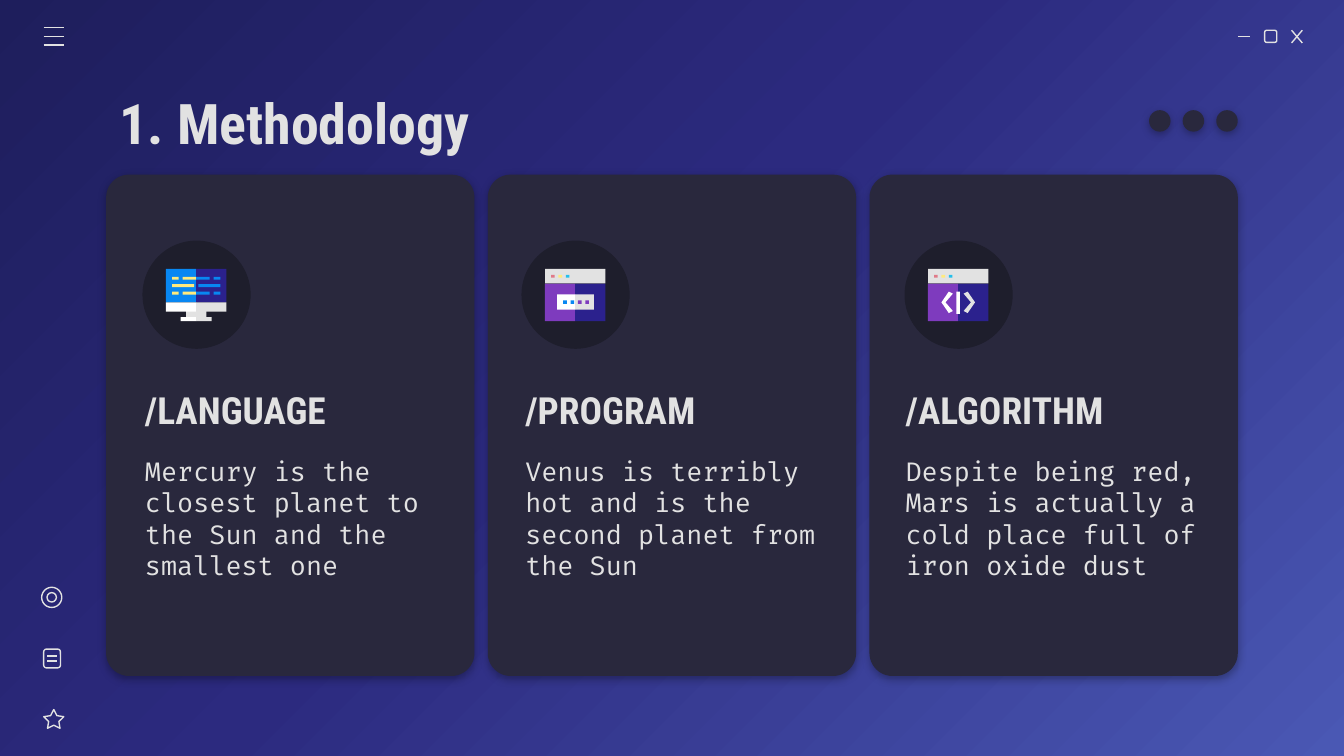
from pptx import Presentation
from pptx import util as u
from pptx.dml.color import RGBColor
from pptx.enum import shapes, text
from pptx.oxml import parse_xml
from pptx.oxml.ns import nsdecls, qn

# The grid has square cells, 100 columns by 56.25 rows
CELL = u.Inches(0.1)
COLUMNS, ROWS = 100, 56.25

HEADING_FONT, BODY_FONT = "Roboto Condensed", "Fira Code"
LIGHT = RGBColor(0xE2, 0xE2, 0xE2)
WHITE = RGBColor(0xFF, 0xFF, 0xFF)
PANEL = RGBColor(0x29, 0x28, 0x3D)
DISC = RGBColor(0x1E, 0x1E, 0x2C)
INDIGO = RGBColor(0x2B, 0x21, 0x8D)
PURPLE = RGBColor(0x7E, 0x3B, 0xBE)
BLUE = RGBColor(0x08, 0x87, 0xF2)
CYAN = RGBColor(0x24, 0xBF, 0xEB)
YELLOW = RGBColor(0xFF, 0xEA, 0x7D)
PINK = RGBColor(0xE0, 0x7A, 0x88)
BACKDROP = [
    (0, RGBColor(0x1E, 0x1E, 0x5C)),
    (46, RGBColor(0x2C, 0x2A, 0x7F)),
    (100, RGBColor(0x4A, 0x58, 0xB4)),
]
SHAPE = shapes.MSO_SHAPE


def cells(*lengths):
    return [u.Emu(round(length * CELL)) for length in lengths]


class Canvas:
    def __init__(self, page):
        self.page = page

    def backdrop(self, stops):
        marks = "".join(
            f'<a:gs pos="{share * 1000}"><a:srgbClr val="{color}"/></a:gs>'
            for share, color in stops
        )
        self.page._element.cSld.insert(0, parse_xml(
            f'<p:bg {nsdecls("p", "a")}><p:bgPr><a:gradFill><a:gsLst>{marks}</a:gsLst>'
            '<a:path path="circle"><a:fillToRect r="100000" b="100000"/></a:path>'
            '</a:gradFill><a:effectLst/></p:bgPr></p:bg>'))

    def paint(self, shape, color):
        shape.shadow.inherit = False
        shape.fill.solid()
        shape.fill.fore_color.rgb = color
        shape.line.fill.background()

    def solid(self, kind, place, color, corner=None, shadow=False):
        shape = self.page.shapes.add_shape(kind, *cells(*place))
        self.paint(shape, color)
        if corner is not None:
            shape.adjustments[0] = corner
        if shadow:
            effects = shape._element.spPr.find(qn("a:effectLst"))
            effects.append(parse_xml(
                f'<a:outerShdw {nsdecls("a")} blurRad="57150" dist="19050" dir="5400000">'
                '<a:srgbClr val="000000"><a:alpha val="30000"/></a:srgbClr></a:outerShdw>'))

    def outline(self, kind, place, adjustment=None):
        shape = self.page.shapes.add_shape(kind, *cells(*place))
        shape.shadow.inherit = False
        shape.fill.background()
        shape.line.color.rgb = LIGHT
        shape.line.width = u.Pt(0.75)
        if adjustment is not None:
            shape.adjustments[0] = adjustment

    def line(self, *ends):
        stroke = self.page.shapes.add_connector(
            shapes.MSO_CONNECTOR.STRAIGHT, *cells(*ends))
        stroke.line.color.rgb = LIGHT
        stroke.line.width = u.Pt(0.75)
        stroke._element.spPr.append(parse_xml(f'<a:effectLst {nsdecls("a")}/>'))

    def block(self, origin, place, color):
        left, top, width, height = place
        self.solid(SHAPE.RECTANGLE,
                   (origin[0] + left, origin[1] + top, width, height), color)

    def polygon(self, origin, points, color):
        corners = [cells(origin[0] + x, origin[1] + y) for x, y in points]
        builder = self.page.shapes.build_freeform(*corners[0])
        builder.add_line_segments(corners[1:], close=True)
        self.paint(builder.convert_to_shape(), color)

    def set_text(self, box, place, words, font, size, bold=False):
        box.left, box.top, box.width, box.height = cells(*place)
        frame = box.text_frame
        frame.word_wrap = True
        frame.auto_size = text.MSO_AUTO_SIZE.NONE
        frame.vertical_anchor = text.MSO_ANCHOR.MIDDLE
        frame.margin_left = frame.margin_right = CELL
        frame.margin_top = frame.margin_bottom = CELL
        frame.text = words
        para = frame.paragraphs[0]
        para.alignment = text.PP_ALIGN.LEFT
        para.font.name, para.font.size, para.font.bold = font, u.Pt(size), bold
        para.font.color.rgb = LIGHT

    def title(self, place, words):
        self.set_text(self.page.shapes.title, place, words, HEADING_FONT, 30, True)

    def label(self, place, words, font, size, bold=False):
        box = self.page.shapes.add_textbox(*cells(*place))
        self.set_text(box, place, words, font, size, bold)


# Card icons, each 4.5 cells wide
def monitor_icon(canvas, origin):
    canvas.block(origin, (0, 0, 2.25, 2.5), BLUE)
    canvas.block(origin, (2.25, 0, 2.25, 2.5), INDIGO)
    canvas.block(origin, (1.5, 3, 1.5, 0.7), LIGHT)
    for left, top, width, height in [(0, 2.5, 2.25, 0.7), (1.1, 3.6, 1.15, 0.3)]:
        canvas.block(origin, (left, top, width, height), WHITE)
        canvas.block(origin, (2.25, top, width, height), LIGHT)
    # Code lines mirror across the middle of the screen
    code_rows = [(0.6, [(0.45, 0.5), (1.25, 1)]), (1.15, [(0.45, 1.65)]),
                 (1.7, [(0.45, 0.5), (1.25, 1)])]
    for top, dashes in code_rows:
        for left, width in dashes:
            canvas.block(origin, (left, top, width, 0.22), YELLOW)
            canvas.block(origin, (4.5 - left - width, top, width, 0.22), BLUE)


def window(canvas, origin):
    canvas.block(origin, (0, 1.1, 2.25, 2.8), PURPLE)
    canvas.block(origin, (2.25, 1.1, 2.25, 2.8), INDIGO)
    canvas.block(origin, (0, 0, 4.5, 1.1), LIGHT)
    for index, color in enumerate([PINK, YELLOW, CYAN]):
        canvas.block(origin, (0.45 + 0.55 * index, 0.45, 0.27, 0.22), color)


def program_icon(canvas, origin):
    window(canvas, origin)
    canvas.block(origin, (0.9, 1.9, 1.35, 1.15), WHITE)
    canvas.block(origin, (2.25, 1.9, 1.4, 1.15), LIGHT)
    for index, color in enumerate([BLUE, BLUE, PURPLE, PURPLE]):
        canvas.block(origin, (1.35 + 0.55 * index, 2.35, 0.27, 0.27), color)


def algorithm_icon(canvas, origin):
    window(canvas, origin)
    bracket = [(1.55, 1.7), (1, 2.5), (1.55, 3.3), (1.85, 3.15), (1.3, 2.5), (1.85, 1.85)]
    canvas.polygon(origin, bracket, WHITE)
    canvas.polygon(origin, [(4.5 - x, y) for x, y in bracket], LIGHT)
    canvas.block(origin, (2.12, 1.7, 0.26, 1.65), WHITE)


CARDS = [
    ("/LANGUAGE", "Mercury is the closest planet to the Sun and the smallest one",
     10.6, monitor_icon),
    ("/PROGRAM", "Venus is terribly hot and is the second planet from the Sun",
     38.8, program_icon),
    ("/ALGORITHM", "Despite being red, Mars is actually a cold place full of iron oxide dust",
     67.3, algorithm_icon),
]


def main():
    deck = Presentation()
    deck.slide_width, deck.slide_height = cells(COLUMNS, ROWS)
    canvas = Canvas(deck.slides.add_slide(deck.slide_layouts[5]))
    canvas.backdrop(BACKDROP)
    canvas.title((7.9, 5.9, 49.7, 6.3), "1. Methodology")

    # Cards
    for index, (heading, body, disc_left, icon) in enumerate(CARDS):
        canvas.solid(SHAPE.ROUNDED_RECTANGLE, (7.9 + 28.4 * index, 13, 27.4, 37.3),
                     PANEL, corner=0.062, shadow=True)
        canvas.solid(SHAPE.OVAL, (disc_left, 17.9, 8.05, 8.05), DISC)
        icon(canvas, (disc_left + 1.75, 20))
        left = 9.8 + 28.3 * index
        canvas.label((left, 27.9, 23.8, 5.1), heading, HEADING_FONT, 20, True)
        canvas.label((left, 33.1, 23.8, 10.9), body, BODY_FONT, 14)

    # Dots above the cards
    for index in range(3):
        canvas.solid(SHAPE.OVAL, (85.5 + 2.5 * index, 8.2, 1.6, 1.6), PANEL, shadow=True)

    # Window controls
    canvas.line(92.1, 2.7, 93, 2.7)
    canvas.outline(SHAPE.ROUNDED_RECTANGLE, (94.1, 2.25, 0.9, 0.9))
    canvas.line(96.1, 2.25, 96.9, 3.2)
    canvas.line(96.9, 2.25, 96.1, 3.2)

    # Menu
    for row in (2.05, 2.7, 3.35):
        canvas.line(3.25, row, 4.75, row)

    # Side bar: target, note and star
    canvas.outline(SHAPE.OVAL, (3.1, 43.7, 1.5, 1.5))
    canvas.outline(SHAPE.OVAL, (3.5, 44.1, 0.7, 0.7))
    canvas.outline(SHAPE.ROUNDED_RECTANGLE, (3.25, 48.3, 1.25, 1.4))
    for row in (48.8, 49.2):
        canvas.line(3.5, row, 4.25, row)
    canvas.outline(SHAPE.STAR_5_POINT, (3.25, 52.8, 1.5, 1.4), 0.254)

    deck.save("out.pptx")


if __name__ == "__main__":
    main()
